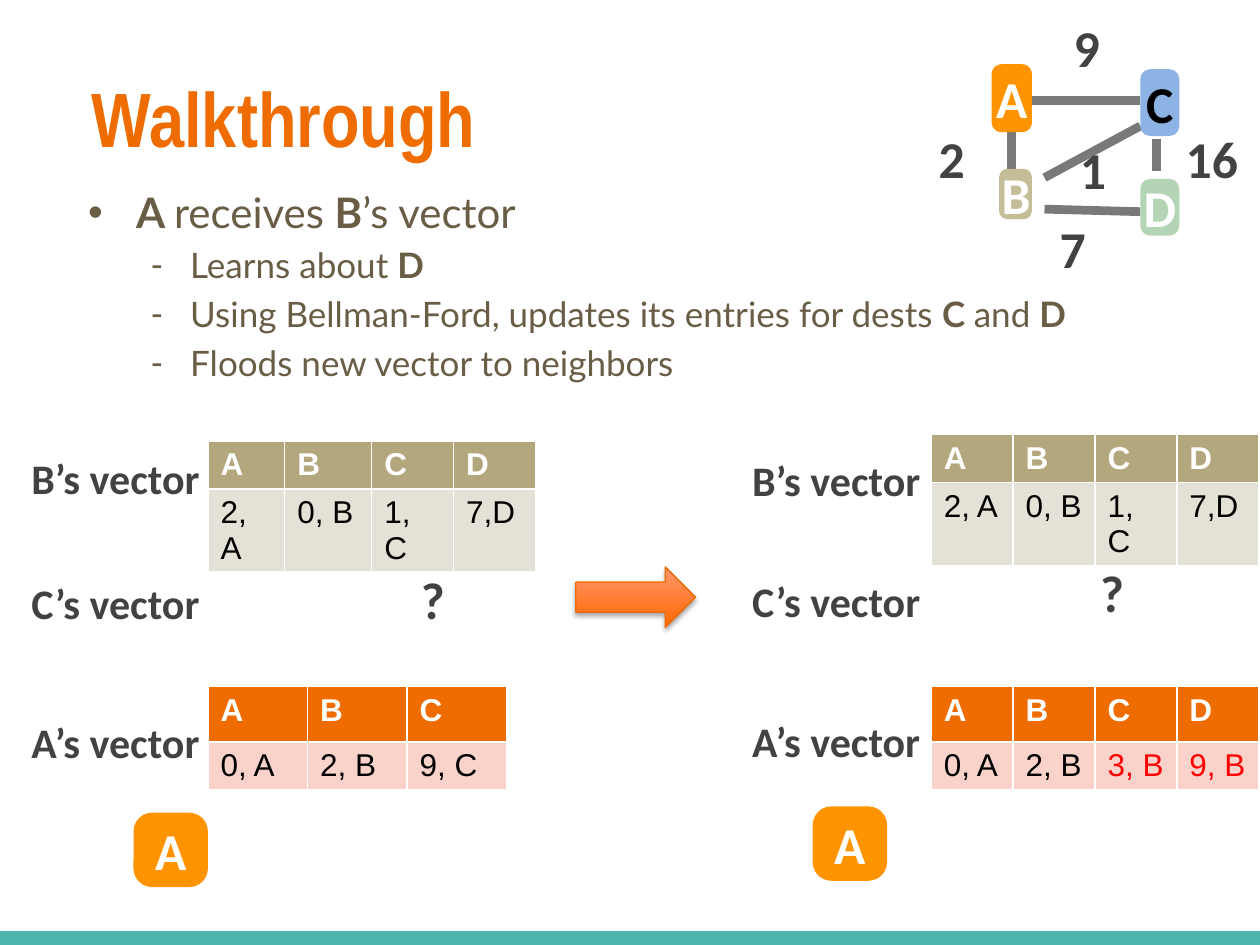
from lxml import etree
from pptx import Presentation
from pptx.dml.color import RGBColor
from pptx.enum.shapes import MSO_CONNECTOR, MSO_SHAPE
from pptx.enum.text import MSO_ANCHOR, PP_ALIGN
from pptx.oxml.ns import qn
from pptx.util import Inches, Pt

STRAIGHT = MSO_CONNECTOR.STRAIGHT
ROUNDED = MSO_SHAPE.ROUNDED_RECTANGLE
RIGHT_ARROW = MSO_SHAPE.RIGHT_ARROW
MIDDLE, TOP = MSO_ANCHOR.MIDDLE, MSO_ANCHOR.TOP
LEFT, CENTER = PP_ALIGN.LEFT, PP_ALIGN.CENTER

COLORS = {
    "title": "EF6C00", "body": "695D46", "label": "424242", "edge": "797979",
    "white": "FFFFFF", "black": "000000", "changed": "FF0000", "footer": "4DB6AC",
    "node_a": "FF9300", "node_b": "C4BD97", "node_c": "8CB3E3", "node_d": "B3D5B5",
    "own_header": "EF6C00", "own_row": "F9D3CA",
    "other_header": "B3A77D", "other_row": "E4E1D6",
    "arrow_dark": "FF6800", "arrow_light": "FF976D", "arrow_line": "EE6800",
}


def rgb(name):
    return RGBColor.from_string(COLORS[name])


def add_text(paragraph, text, size=29.5, font="Calibri", color="label", bold=True):
    run = paragraph.add_run()
    run.text = text
    run.font.size = Pt(size)
    run.font.name = font
    run.font.bold = bold
    run.font.color.rgb = rgb(color)


def place(shape, left, top, width, height):
    shape.left, shape.top = Inches(left), Inches(top)
    shape.width, shape.height = Inches(width), Inches(height)


def set_frame(text_frame, inset, anchor=MIDDLE):
    text_frame.word_wrap = True
    text_frame.vertical_anchor = anchor
    text_frame.margin_left = text_frame.margin_right = Inches(inset)
    text_frame.margin_top = text_frame.margin_bottom = Inches(inset)


def add_shadow(effects, opacity, distance):
    shadow = etree.SubElement(effects, qn("a:outerShdw"), blurRad=str(Pt(3.1)),
                              dist=str(Pt(distance)), dir="5400000", rotWithShape="0")
    color = etree.SubElement(shadow, qn("a:srgbClr"), val=COLORS["black"])
    etree.SubElement(color, qn("a:alpha"), val=str(opacity * 1000))


def add_line(slide, start, end, color="edge", width=5):
    """Draw a line and return its effect list."""
    line = slide.shapes.add_connector(STRAIGHT, *map(Inches, start + end))
    line.line.color.rgb = rgb(color)
    line.line.width = Pt(width)
    return etree.SubElement(line._element.spPr, qn("a:effectLst"))


def add_label(slide, text, left, top, width, height=0.58, size=29.5):
    box = slide.shapes.add_textbox(*map(Inches, (left, top, width, height)))
    set_frame(box.text_frame, 0.04)
    add_text(box.text_frame.paragraphs[0], text, size=size)


def add_node(slide, name, left, top, width, height, color="white"):
    node = slide.shapes.add_shape(ROUNDED, *map(Inches, (left, top, width, height)))
    node.adjustments[0] = 0.25
    node.shadow.inherit = False
    node.fill.solid()
    node.fill.fore_color.rgb = rgb(f"node_{name.lower()}")
    node.line.fill.background()
    set_frame(node.text_frame, 0)
    paragraph = node.text_frame.paragraphs[0]
    paragraph.alignment = CENTER
    add_text(paragraph, name, color=color)


def add_vector(slide, left, top, widths, heights, entries, kind, changed=()):
    """Add a distance vector table whose headers are the first router names."""
    rows = ["ABCD"[:len(entries)], entries]
    frame = slide.shapes.add_table(2, len(entries), Inches(left), Inches(top),
                                   Inches(sum(widths)), Inches(sum(heights)))
    table = frame.table
    for column, width in zip(table.columns, widths):
        column.width = Inches(width)
    for row_index, (row, height) in enumerate(zip(rows, heights)):
        table.rows[row_index].height = Inches(height)
        header = row_index == 0
        for column_index, text in enumerate(row):
            cell = table.cell(row_index, column_index)
            cell.fill.solid()
            cell.fill.fore_color.rgb = rgb(f"{kind}_{'header' if header else 'row'}")
            color = "white" if header else "changed" if text in changed else "black"
            add_text(cell.text_frame.paragraphs[0], text, size=18, font="Arial",
                     color=color, bold=header)


def set_bullet(paragraph, character, indent, hanging):
    properties = paragraph._p.get_or_add_pPr()
    properties.set("marL", str(Inches(indent)))
    properties.set("indent", str(-Inches(hanging)))
    color = etree.SubElement(properties, qn("a:buClr"))
    etree.SubElement(color, qn("a:srgbClr"), val=COLORS["body"])
    etree.SubElement(properties, qn("a:buFont"), typeface="Arial")
    etree.SubElement(properties, qn("a:buChar"), char=character)


def fill_title(title):
    place(title, 0.5, 0.3, 9, 1.25)
    title.text_frame.vertical_anchor = MIDDLE
    title.text_frame.margin_left = Inches(0.23)
    paragraph = title.text_frame.paragraphs[0]
    paragraph.alignment = LEFT
    add_text(paragraph, "Walkthrough", size=44, font="Arial Narrow", color="title")


def fill_body(body):
    """Write the list; the odd pieces of each item are bold."""
    items = [
        ["", "A ", "receives ", "B", "’s vector"],
        ["Learns about ", "D"],
        ["Using Bellman-Ford, updates its entries for dests ", "C ", "and ", "D"],
        ["Floods new vector to neighbors"],
    ]
    place(body, 0.6, 1.43, 9, 4.95)
    body.text_frame.vertical_anchor = TOP
    for index, pieces in enumerate(items):
        if index == 0:
            paragraph = body.text_frame.paragraphs[0]
            set_bullet(paragraph, "•", 0.38, 0.38)
        else:
            paragraph = body.text_frame.add_paragraph()
            paragraph.level = 1
            set_bullet(paragraph, "-", 0.81, 0.31)
        paragraph.space_before = Pt(4 if index else 0)
        for position, text in enumerate(pieces):
            if text:
                add_text(paragraph, text, size=20 if index else 24, font="Lato",
                         color="body", bold=position % 2 == 1)


def add_step_arrow(slide):
    arrow = slide.shapes.add_shape(RIGHT_ARROW, *map(Inches, (4.57, 4.5, 0.95, 0.48)))
    arrow.fill.gradient()
    arrow.fill.gradient_angle = 90
    for stop, color in zip(arrow.fill.gradient_stops, ("arrow_dark", "arrow_light")):
        stop.color.rgb = rgb(color)
    arrow.line.color.rgb = rgb("arrow_line")
    arrow.line.width = Pt(0.75)
    arrow.shadow.inherit = False
    add_shadow(arrow._element.spPr.find(qn("a:effectLst")), 35, 1.8)


def add_network(slide):
    for start, end in [((8.03, 1.05), (8.03, 1.36)), ((8.29, 1.66), (9.05, 1.68)),
                       ((9.18, 1.1), (9.18, 1.36)), ((8.19, 0.8), (9.05, 0.8)),
                       ((8.29, 1.41), (9.05, 1))]:
        add_line(slide, start, end)
    add_node(slide, "A", 7.87, 0.51, 0.32, 0.54)
    add_node(slide, "B", 7.93, 1.34, 0.26, 0.4)
    add_node(slide, "C", 9.05, 0.55, 0.31, 0.53, color="black")
    add_node(slide, "D", 9.05, 1.42, 0.31, 0.45)
    for cost, left, top, width in [("7", 8.37, 1.68, 0.58), ("2", 7.41, 0.96, 0.29),
                                   ("16", 9.37, 0.96, 0.5), ("9", 8.48, 0.08, 0.29),
                                   ("1", 8.53, 1.05, 0.29)]:
        add_label(slide, cost, left, top, width)


def add_vector_labels(slide, left, tops):
    for name, top in zip("BCA", tops):
        add_label(slide, f"{name}’s vector", left, top, 1.93, 0.48, size=24)


def main():
    presentation = Presentation()
    presentation.slide_width, presentation.slide_height = Inches(10), Inches(7.5)
    slide = presentation.slides.add_slide(presentation.slide_layouts[1])
    add_shadow(add_line(slide, (0, 7.46), (10, 7.46), "footer", 10), 38, 1.6)
    fill_title(slide.shapes.title)
    fill_body(slide.placeholders[1])

    b_entries = ["2, A", "0, B", "1, C", "7,D"]
    equal = [0.65] * 4
    add_vector(slide, 1.65, 5.45, [0.79] * 3, [0.44, 0.32], ["0, A", "2, B", "9, C"], "own")
    add_vector(slide, 1.65, 3.5, [0.61, 0.69, 0.65, 0.65], [0.25, 0.32], b_entries, "other")
    add_vector(slide, 7.39, 5.45, equal, [0.44, 0.32], ["0, A", "2, B", "3, B", "9, B"],
               "own", changed=("3, B", "9, B"))
    add_vector(slide, 7.39, 3.45, equal, [0.32, 0.32], b_entries, "other")
    add_vector_labels(slide, 0.21, (3.55, 4.54, 5.65))
    add_vector_labels(slide, 5.93, (3.57, 4.53, 5.64))
    add_label(slide, "?", 3.3, 4.46, 0.32)
    add_label(slide, "?", 8.69, 4.41, 0.32)
    add_node(slide, "A", 1.06, 6.45, 0.59, 0.59)
    add_node(slide, "A", 6.45, 6.4, 0.59, 0.59)
    add_step_arrow(slide)
    add_network(slide)
    presentation.save("out.pptx")


if __name__ == "__main__":
    main()
